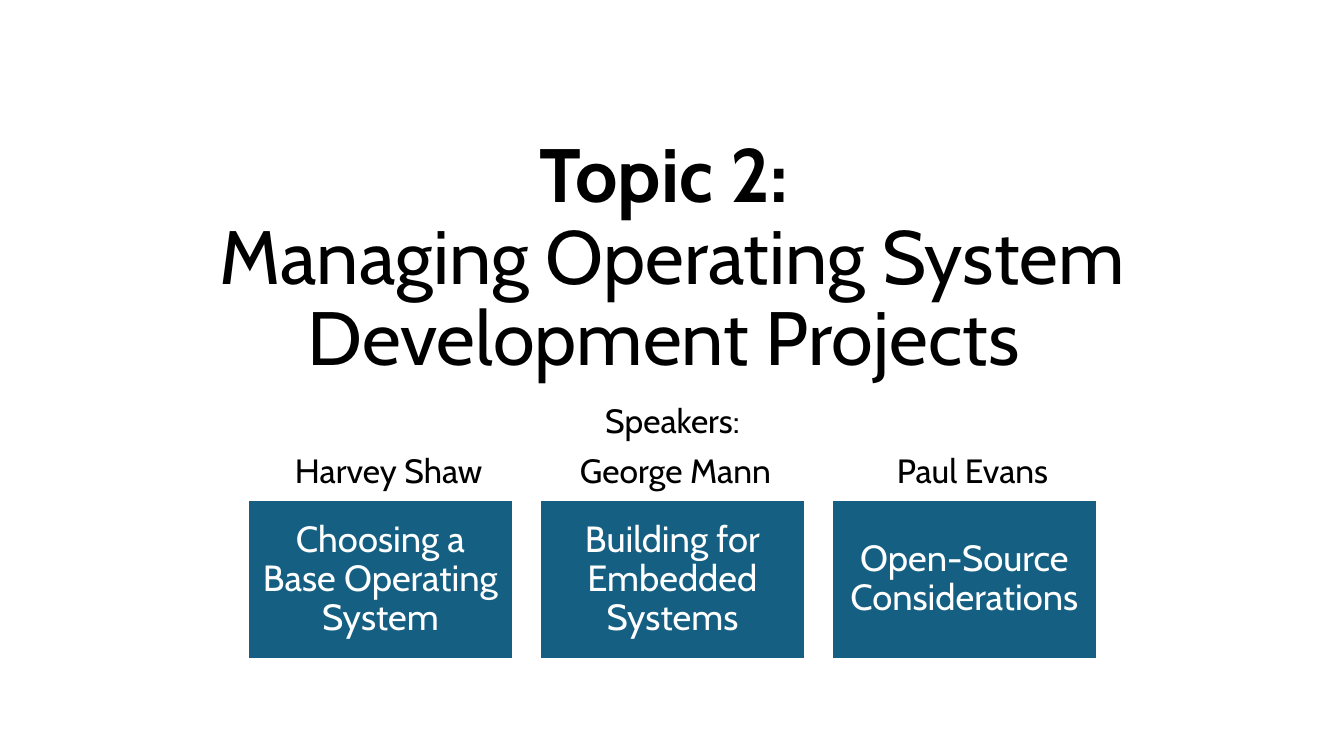
from pptx import Presentation
from pptx.dml.color import RGBColor
from pptx.enum.shapes import MSO_SHAPE
from pptx.enum.text import MSO_ANCHOR, PP_ALIGN
from pptx.util import Pt

SCALE = 914400 / 100.8
COLORS = {"ink": "000000", "card": "156082", "paper": "FFFFFF"}
TALKS = [
    ("Harvey Shaw", 8, "Choosing a Base Operating System"),
    ("George Mann", 3, "Building for Embedded Systems"),
    ("Paul Evans", 8, "Open-Source Considerations"),
]


def px(n):
    return round(n * SCALE)


def tint(name):
    return RGBColor.from_string(COLORS[name])


def write(shape, runs, size, color, anchor, inset=(10, 5)):
    frame = shape.text_frame
    side, edge = map(px, inset)
    form = {"word_wrap": True, "vertical_anchor": anchor,
            "margin_left": side, "margin_right": side,
            "margin_top": edge, "margin_bottom": edge}
    for key, value in form.items():
        setattr(frame, key, value)
    line = frame.paragraphs[0]
    line.alignment = PP_ALIGN.CENTER
    line.line_spacing = 0.9
    for i, (text, bold) in enumerate(runs):
        if i:
            line.add_line_break()
        run = line.add_run()
        run.text = text
        for key, value in {"name": "Cabin", "size": Pt(size), "bold": bold}.items():
            setattr(run.font, key, value)
        run.font.color.rgb = tint(color)


def label(slide, box, runs, size, anchor=MSO_ANCHOR.TOP):
    shape = slide.shapes.add_textbox(*map(px, box))
    write(shape, runs, size, "ink", anchor)


def heading(slide, box):
    runs = [("Topic 2: ", True),
            ("Managing Operating System Development Projects ", False)]
    label(slide, box, runs, 54, MSO_ANCHOR.BOTTOM)


def card(slide, box, text):
    shape = slide.shapes.add_shape(MSO_SHAPE.RECTANGLE, *map(px, box))
    shape.shadow.inherit = False
    shape.fill.solid()
    shape.fill.fore_color.rgb = tint("card")
    shape.line.color.rgb = tint("paper")
    shape.line.width = Pt(1.5)
    write(shape, [(text, False)], 26, "paper", MSO_ANCHOR.MIDDLE, (11, 11))


def speakers(slide, box):
    left, top, width, height = box
    label(slide, (left, top, width, 47), [("Speakers:", False)], 24)
    wide, tall, gap = 265, 159, 27
    for i, (name, shift, topic) in enumerate(TALKS):
        x = left + i * (wide + gap)
        label(slide, (x + shift, top + 50, wide, 47), [(name, False)], 24)
        card(slide, (x, top + height - tall, wide, tall), topic)


def main():
    deck = Presentation()
    deck.slide_width, deck.slide_height = px(1344), px(756)
    slide = deck.slides.add_slide(deck.slide_layouts[6])
    heading(slide, (168, 124, 1008, 263))
    speakers(slide, (248, 399, 849, 260))
    deck.save("out.pptx")


if __name__ == "__main__":
    main()
